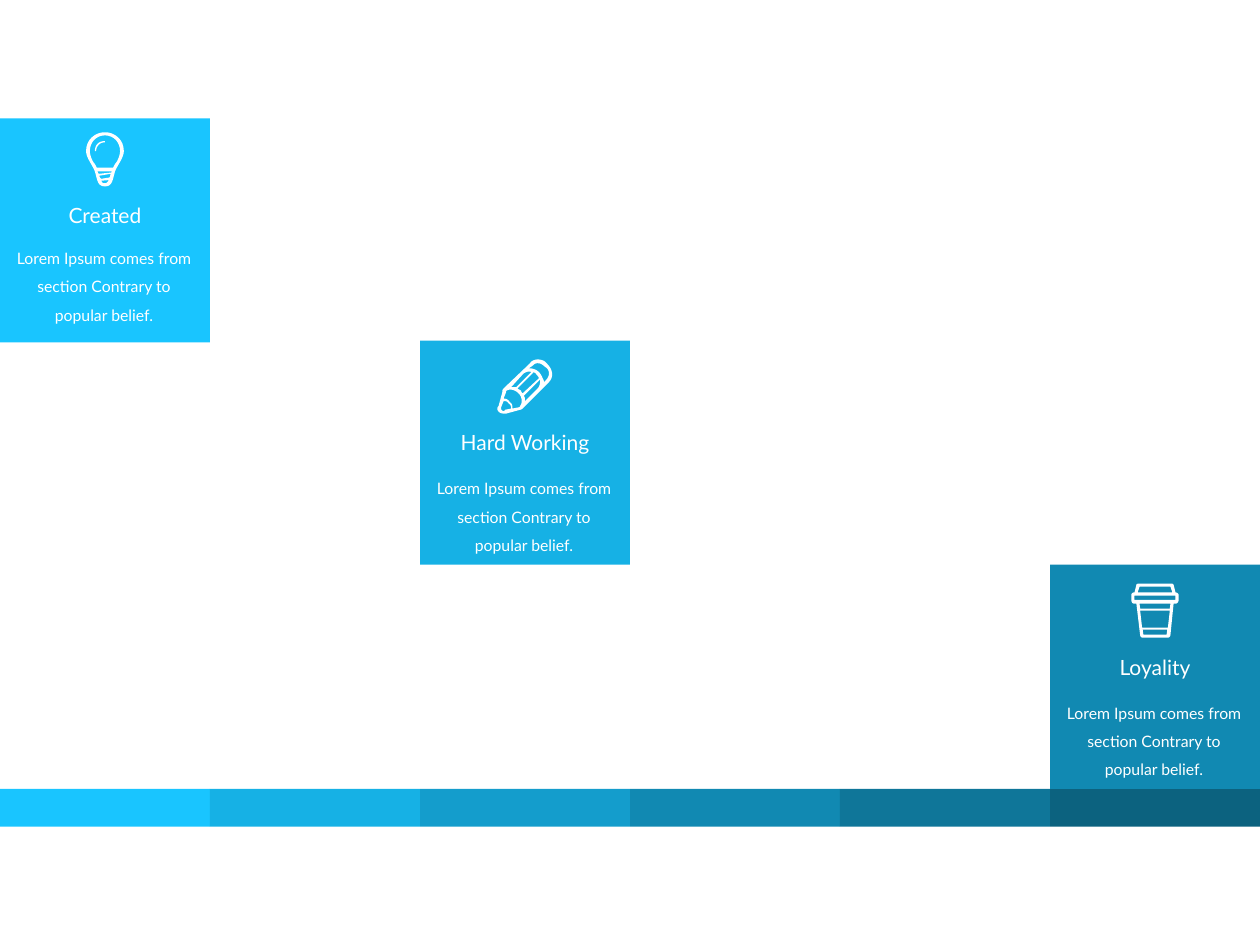
"""Build a slide of three value cards stepping down to a six-tone colour strip."""
import pptx
import pptx.dml.color
import pptx.enum.shapes
import pptx.enum.text
import pptx.util

COLORS = {
    "sky": "19C5FF", "azure": "16B1E5", "cerulean": "149DCC",
    "ocean": "1189B2", "teal": "0F7699", "deep": "0C627F", "white": "FFFFFF",
}
BODY = "Lorem Ipsum comes from section Contrary to popular belief."
CARD_ROWS = 5.93
STRIP_TOP = 20.87

BULB = (30, [
    [(15, 0), (7, 0, 0, 6, 0, 15), (0, 20, 5, 26, 7, 31), (9, 38, 9, 43, 15, 43),
     (21, 43, 21, 38, 23, 31), (25, 26, 30, 20, 30, 15), (30, 6, 23, 0, 15, 0)],
    [(21.5, 28), (8.5, 28), (8, 27, 7, 25, 6, 24), (4, 21, 3, 17, 3, 15),
     (3, 8, 8, 2.5, 15, 2.5), (22, 2.5, 27, 8, 27, 15), (27, 17, 26, 21, 24, 24),
     (23, 25, 22, 27, 21.5, 28)],
    [(18, 36), (12, 37), (11, 36, 11, 36, 10.5, 34.5), (19.5, 33), (19, 35, 19, 36, 18, 36)],
    [(10, 33), (9, 31), (20.5, 31), (20, 32)],
    [(15, 40.5), (13, 40.5, 13, 40, 12, 38.5), (18, 38), (17, 40, 16, 40.5, 15, 40.5)],
    [(15, 7), (10, 7, 7, 10, 7, 15), (8, 15), (8, 11, 11, 8, 15, 8)],
])
PENCIL = (44, [
    [(40, 4), (38, 1, 35, 0, 32, 0), (30, 0, 27, 1, 26, 3), (5, 23), (4, 24, 4, 25, 4, 26),
     (1, 37), (1, 37, 0, 38, 0, 39), (0, 41, 2, 43, 5, 43), (6, 43, 7, 43, 7, 43), (18, 40),
     (19, 40, 20, 39, 20, 39), (41, 18), (45, 14, 44, 8, 40, 4)],
    [(22, 32), (22, 31, 22, 30, 21, 29), (34, 16), (34, 18, 34, 21, 32, 23), (22, 33)],
    [(20, 27), (20, 27, 19, 26, 19, 25), (18, 24, 17, 24, 16, 23), (29, 10),
     (30, 11, 31, 11, 31, 12), (32, 13, 33, 14, 33, 15)],
    [(15, 22), (13, 22, 12, 22, 11, 22), (21, 11), (23, 10, 25, 9, 27, 10)],
    [(6, 40), (6, 41, 5, 41, 5, 41), (4, 41, 3, 40, 3, 39), (3, 38, 3, 38, 3, 38),
     (5, 33), (6, 33, 8, 33, 9, 35), (11, 36, 11, 38, 11, 39)],
    [(12, 39), (12, 37, 12, 35, 10, 34), (9, 32, 7, 31, 5, 31), (7, 26), (7, 25),
     (10, 23, 14, 24, 17, 27), (20, 30, 20, 35, 18, 37), (18, 37, 18, 38, 17, 38)],
    [(39, 16), (37, 18), (37, 17), (36, 15, 35, 12, 33, 10), (31, 8, 28, 7, 25, 7),
     (28, 5), (29, 4, 30, 3, 32, 3), (34, 3, 36, 4, 38, 6), (40, 7, 41, 9, 41, 11),
     (41, 13, 40, 15, 39, 16)],
])
CUP = (37.5, [
    [(35, 7), (33.5, 1), (33, 0, 32, 0, 31, 0), (7, 0), (6, 0, 4, 0, 4, 1), (2.5, 7),
     (1, 7, 0, 8, 0, 9), (0, 13), (0, 15, 1, 16, 2.5, 16), (4, 16), (7, 41),
     (7, 42, 8, 43, 9, 43), (28.5, 43), (30, 43, 31, 42, 31, 41), (33.5, 16), (35, 16),
     (36, 16, 37.5, 15, 37.5, 13), (37.5, 9), (37.5, 8, 36, 7, 35, 7)],
    [(6.5, 2.5), (31, 2.5), (32.5, 7), (5, 7)],
    [(9.5, 40.5), (9, 36.5), (28.5, 36.5), (28, 40.5)],
    [(29, 35), (8.5, 35), (7, 21.5), (30.5, 21.5)],
    [(30.5, 20), (7, 20), (6.5, 16), (31, 16)],
    [(35, 13), (2.5, 13), (2.5, 9.5), (35, 9.5)],
])


def trace(contour, steps=8):
    """Turn line ends and cubic curves into a list of points."""
    points = [contour[0]]
    for segment in contour[1:]:
        if len(segment) == 2:
            points.append(segment)
            continue
        knots = [points[-1], segment[:2], segment[2:4], segment[4:]]
        for step in range(1, steps + 1):
            t = step / steps
            weights = ((1 - t) ** 3, 3 * t * (1 - t) ** 2, 3 * t * t * (1 - t), t ** 3)
            points.append(tuple(
                sum(w * knot[axis] for w, knot in zip(weights, knots)) for axis in (0, 1)))
    return points


class Board:
    """Style and current slide on a grid of 6 columns and 25 rows."""

    def __init__(self, deck):
        self.slide = deck.slides.add_slide(deck.slide_layouts[6])
        self.column = deck.slide_width / 6
        self.row = deck.slide_height / 25
        self.icon_unit = deck.slide_width / 1000
        self.font = "Lato"

    def color(self, name):
        return pptx.dml.color.RGBColor.from_string(COLORS[name])

    def area(self, left, top, columns, rows):
        return [round(n) for n in (left * self.column, top * self.row,
                                   columns * self.column, rows * self.row)]

    def paint(self, shape, color):
        shape.shadow.inherit = False
        shape.fill.solid()
        shape.fill.fore_color.rgb = self.color(color)
        shape.line.fill.background()

    def block(self, left, top, rows, color):
        tile = self.slide.shapes.add_shape(
            pptx.enum.shapes.MSO_SHAPE.RECTANGLE, *self.area(left, top, 1, rows))
        self.paint(tile, color)

    def text(self, words, left, top, columns, rows, size, spacing=None, wrap=True):
        frame = self.slide.shapes.add_textbox(*self.area(left, top, columns, rows)).text_frame
        frame.word_wrap = wrap
        frame.auto_size = pptx.enum.text.MSO_AUTO_SIZE.SHAPE_TO_FIT_TEXT
        paragraph = frame.paragraphs[0]
        paragraph.text = words
        paragraph.alignment = pptx.enum.text.PP_ALIGN.CENTER
        paragraph.line_spacing = spacing
        paragraph.font.name = self.font
        paragraph.font.size = pptx.util.Pt(size)
        paragraph.font.color.rgb = self.color("white")

    def icon(self, drawing, center, top):
        width, contours = drawing
        builder = None
        for contour in contours:
            points = [(x * self.icon_unit, y * self.icon_unit) for x, y in trace(contour)]
            if builder is None:
                builder = self.slide.shapes.build_freeform(*points[0])
            else:
                builder.move_to(*points[0])
            builder.add_line_segments(points[1:], close=True)
        left = center * self.column - width * self.icon_unit / 2
        self.paint(builder.convert_to_shape(round(left), round(top * self.row)), "white")

    def card(self, column, top, color, title, title_columns, drawing, offsets):
        icon_top, title_top, body_top = (top + offset for offset in offsets)
        center = column + 0.5
        self.block(column, top, CARD_ROWS, color)
        self.icon(drawing, center, icon_top)
        self.text(title, center - title_columns / 2, title_top, title_columns, 1, 12, wrap=False)
        self.text(BODY, column, body_top, 0.99, 2.6, 9, spacing=1.5)


def main():
    deck = pptx.Presentation()
    deck.slide_width = pptx.util.Inches(10)
    deck.slide_height = pptx.util.Inches(7.5)
    board = Board(deck)
    for column, tone in enumerate(("sky", "azure", "cerulean", "ocean", "teal", "deep")):
        board.block(column, STRIP_TOP, 1, tone)
    lower_offsets = (0.5, 2.2, 3.25)
    board.card(0, 3.13, "sky", "Created", 0.47, BULB, (0.37, 2.07, 3.03))
    board.card(2, STRIP_TOP - 2 * CARD_ROWS, "azure", "Hard Working", 0.75, PENCIL, lower_offsets)
    board.card(5, STRIP_TOP - CARD_ROWS, "ocean", "Loyality", 0.47, CUP, lower_offsets)
    deck.save("out.pptx")


if __name__ == "__main__":
    main()
